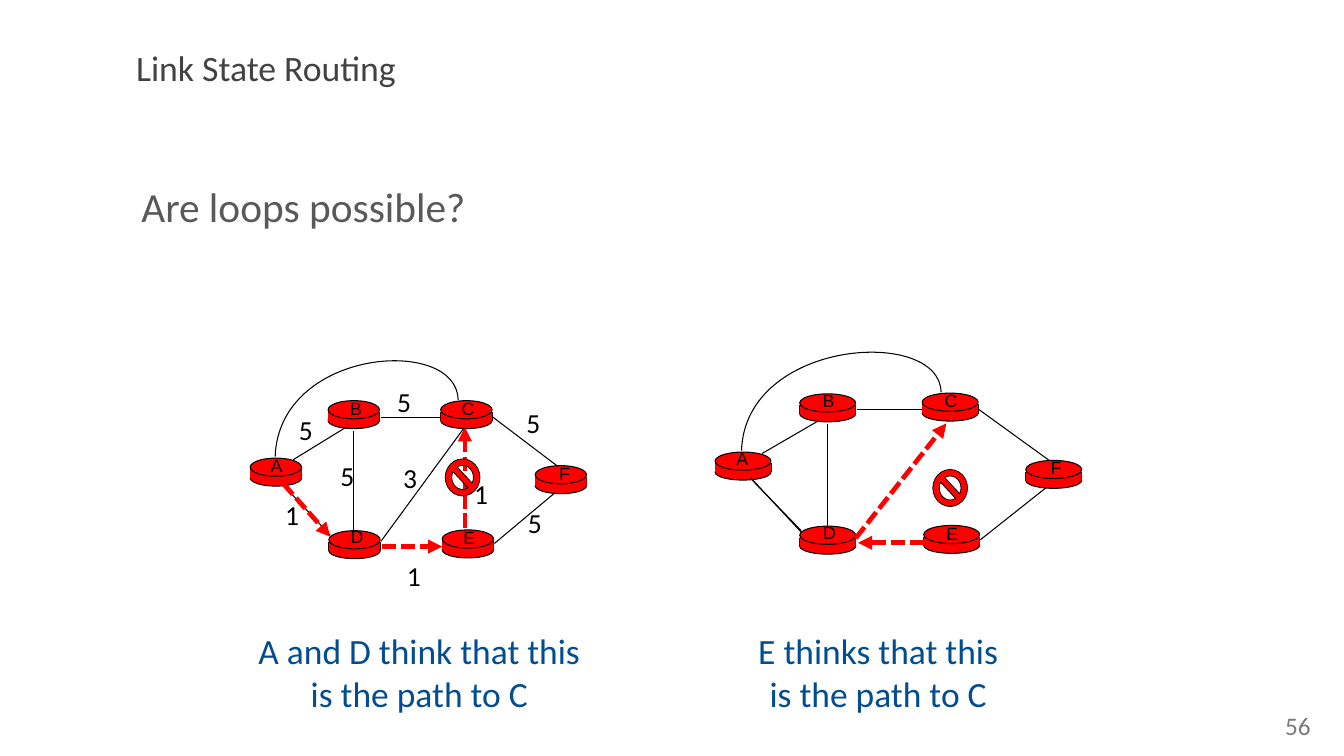
from dataclasses import dataclass
from typing import Any

import lxml.etree
import pptx
import pptx.dml.color
import pptx.enum.dml
import pptx.enum.shapes
import pptx.enum.text
import pptx.oxml.ns
import pptx.util

Inches = pptx.util.Inches
Shape = pptx.enum.shapes.MSO_SHAPE
Align = pptx.enum.text.PP_ALIGN
Anchor = pptx.enum.text.MSO_ANCHOR
qn = pptx.oxml.ns.qn
Point = tuple[float, float]


@dataclass(frozen=True)
class Style:
    size: float
    color: str
    font: str = "Calibri"


@dataclass(frozen=True)
class Theme:
    red: str = "FF0000"
    black: str = "000000"
    thin: float = 1
    thick: float = 4.5
    title: Style = Style(34, "424242")
    body: Style = Style(39.4, "595959")
    caption: Style = Style(33.8, "024C90")
    node: Style = Style(16.9, "000000", "Arial")
    cost: Style = Style(26.2, "000000")
    number: Style = Style(24, "7A7A7A")


THEME = Theme()


@dataclass(frozen=True)
class Router:
    name: str
    left: float
    top: float
    label: Point


@dataclass(frozen=True)
class Link:
    start: Point
    end: Point
    route: bool = False  # dashed red arrow along the chosen path


@dataclass(frozen=True)
class Cost:
    text: str
    left: float
    top: float
    width: float = 0.45


@dataclass(frozen=True)
class Network:
    router_width: float
    routers: list[Router]
    links: list[Link]
    arc: list[Point]
    costs: list[Cost]
    barrier: Point


def rgb(color: str) -> pptx.dml.color.RGBColor:
    return pptx.dml.color.RGBColor.from_string(color)


def add_text(shapes: Any, text: str, style: Style, left: float, top: float,
             width: float, height: float, align: Any = Align.CENTER,
             anchor: Any = Anchor.TOP, inset: Point = (0.1, 0.05),
             wrap: bool = True, indent: float = 0) -> None:
    box = shapes.add_textbox(Inches(left), Inches(top), Inches(width), Inches(height))
    frame = box.text_frame
    frame.word_wrap = wrap
    frame.vertical_anchor = anchor
    frame.margin_left = frame.margin_right = Inches(inset[0])
    frame.margin_top = frame.margin_bottom = Inches(inset[1])
    para = frame.paragraphs[0]
    para.alignment = align
    if indent:
        para._p.get_or_add_pPr().set("marL", str(Inches(indent)))
    for index, line in enumerate(text.split("\n")):
        if index:
            para.add_line_break()
        span = para.add_run()
        span.text = line
        span.font.name = style.font
        span.font.size = pptx.util.Pt(style.size)
        span.font.color.rgb = rgb(style.color)


def add_solid(shapes: Any, kind: Any, left: float, top: float, width: float,
              height: float, outline: float = 0) -> None:
    shape = shapes.add_shape(kind, Inches(left), Inches(top), Inches(width), Inches(height))
    shape.shadow.inherit = False
    shape.fill.solid()
    shape.fill.fore_color.rgb = rgb(THEME.red)
    if outline:
        shape.line.color.rgb = rgb(THEME.black)
        shape.line.width = pptx.util.Pt(outline)
    else:
        shape.line.fill.background()


def add_link(shapes: Any, link: Link) -> None:
    connector = shapes.add_connector(
        pptx.enum.shapes.MSO_CONNECTOR.STRAIGHT,
        *(Inches(value) for value in link.start + link.end))
    connector.line.color.rgb = rgb(THEME.red if link.route else THEME.black)
    connector.line.width = pptx.util.Pt(THEME.thick if link.route else THEME.thin)
    properties = connector.element.spPr
    if link.route:
        connector.line.dash_style = pptx.enum.dml.MSO_LINE.SQUARE_DOT
        lxml.etree.SubElement(properties.find(qn("a:ln")), qn("a:tailEnd"), type="triangle")
    lxml.etree.SubElement(properties, qn("a:effectLst"))


def add_arc(shapes: Any, points: list[Point]) -> None:
    start, *rest = [(Inches(x), Inches(y)) for x, y in points]
    builder = shapes.build_freeform(*start)
    builder.add_line_segments(rest, close=False)
    shape = builder.convert_to_shape()
    shape.shadow.inherit = False
    shape.fill.background()
    shape.line.color.rgb = rgb(THEME.black)
    shape.line.width = pptx.util.Pt(THEME.thin)
    # Join the three segments into one cubic curve
    path = next(shape.element.iter(qn("a:path")))
    curve = lxml.etree.SubElement(path, qn("a:cubicBezTo"))
    for segment in path.findall(qn("a:lnTo")):
        curve.append(segment[0])
        path.remove(segment)


def add_router(shapes: Any, router: Router, width: float) -> None:
    left, top = router.left, router.top
    add_solid(shapes, Shape.OVAL, left, top + 0.16, width, 0.21, THEME.thin)
    for side in (left, left + width):
        add_link(shapes, Link((side, top + 0.15), (side, top + 0.27)))
    add_solid(shapes, Shape.RECTANGLE, left, top + 0.15, width, 0.12)
    add_solid(shapes, Shape.OVAL, left, top, width, 0.24, THEME.thin)


def add_network(page: Any, network: Network) -> None:
    shapes = page.shapes.add_group_shape().shapes
    first, *others = network.links
    add_link(shapes, first)
    for router in network.routers:
        add_router(shapes, router, network.router_width)
    for link in others:
        add_link(shapes, link)
    add_arc(shapes, network.arc)
    for router in network.routers:
        add_text(shapes, router.name, THEME.node, *router.label, 0.36, 0.38, wrap=False)
    for cost in network.costs:
        add_text(shapes, cost.text, THEME.cost, cost.left, cost.top, cost.width, 0.55,
                 anchor=Anchor.MIDDLE, inset=(0.05, 0.05))
    add_solid(shapes, Shape.NO_SYMBOL, *network.barrier, 0.46, 0.49, 0.75)


VIEW_OF_E = Network(
    0.74,
    [Router("A", 9.46, 5.98, (9.64, 5.88)), Router("D", 10.58, 6.96, (10.79, 6.85)),
     Router("B", 10.58, 5.21, (10.78, 5.11)), Router("C", 12.2, 5.2, (12.4, 5.11)),
     Router("E", 12.22, 6.95, (12.42, 6.86)), Router("F", 13.57, 6.09, (13.79, 5.99))],
    [Link((10.08, 6), (10.89, 5.53)), Link((10.95, 5.61), (10.95, 6.98)),
     Link((11.32, 7.12), (12.52, 5.6), True), Link((12.97, 7.14), (13.84, 6.45)),
     Link((12.22, 7.18), (11.35, 7.18), True), Link((10.6, 7.02), (9.95, 6.35)),
     Link((12.21, 5.42), (11.34, 5.42)), Link((13.88, 6.09), (12.94, 5.41)),
     Link((9.93, 6.32), (10.6, 7.04))],
    [(12.45, 5.19), (12.44, 4.32), (9.86, 4.48), (9.81, 5.96)], [], (12.34, 6.21))

VIEW_OF_A_AND_D = Network(
    0.68,
    [Router("A", 3.31, 6.06, (3.48, 5.97)), Router("D", 4.35, 7.02, (4.54, 6.91)),
     Router("B", 4.34, 5.3, (4.53, 5.21)), Router("C", 5.83, 5.3, (6.01, 5.21)),
     Router("E", 5.85, 7.01, (6.03, 6.92)), Router("F", 7.08, 6.16, (7.29, 6.07))],
    [Link((3.88, 6.08), (4.63, 5.62)), Link((6.15, 6.98), (6.15, 5.65), True),
     Link((4.68, 5.7), (4.68, 7.04)), Link((5.04, 7.16), (6.14, 5.66)),
     Link((6.54, 7.19), (7.34, 6.52)), Link((5.05, 7.23), (5.85, 7.23), True),
     Link((4.37, 7.08), (3.76, 6.43)), Link((5.84, 5.52), (5.04, 5.52)),
     Link((7.38, 6.17), (6.51, 5.51)), Link((3.75, 6.4), (4.37, 7.1), True)],
    [(6.06, 5.29), (6.05, 4.44), (3.69, 4.6), (3.64, 6.04)],
    [Cost("1", 3.47, 6.53, 0.79), Cost("3", 5.2, 6.04), Cost("1", 5.12, 7.34, 0.71),
     Cost("1", 5.97, 6.25, 0.79), Cost("5", 6.85, 6.63), Cost("5", 4.37, 6.02),
     Cost("5", 3.82, 5.41), Cost("5", 5.12, 5.04), Cost("5", 6.83, 5.31)],
    (5.89, 6.07))


def main() -> None:
    deck = pptx.Presentation()
    deck.slide_width, deck.slide_height = Inches(17.78), Inches(10)
    page = deck.slides.add_slide(deck.slide_layouts[6])

    # Question and heading
    add_text(page.shapes, "Are loops possible?", THEME.body, 1.74, 2.4, 14.31, 6.29,
             Align.LEFT, inset=(0, 0), indent=0.13)
    add_text(page.shapes, "Link State Routing", THEME.title, 1.74, 0, 14.31, 1.78,
             Align.LEFT, Anchor.MIDDLE, (0.06, 0.06))

    # Captions
    for text, left, width in (("A and D think that this\nis the path to C", 2.55, 6),
                              ("E thinks that this\nis the path to C", 8.96, 5.32)):
        add_text(page.shapes, text, THEME.caption, left, 8.27, width, 1.24,
                 anchor=Anchor.MIDDLE)

    # Network diagrams
    for network in (VIEW_OF_E, VIEW_OF_A_AND_D):
        add_network(page, network)

    # Page number
    add_text(page.shapes, "56", THEME.number, 16.94, 9.39, 0.46, 0.5,
             inset=(0, 0), wrap=False)
    deck.save("out.pptx")


if __name__ == "__main__":
    main()
